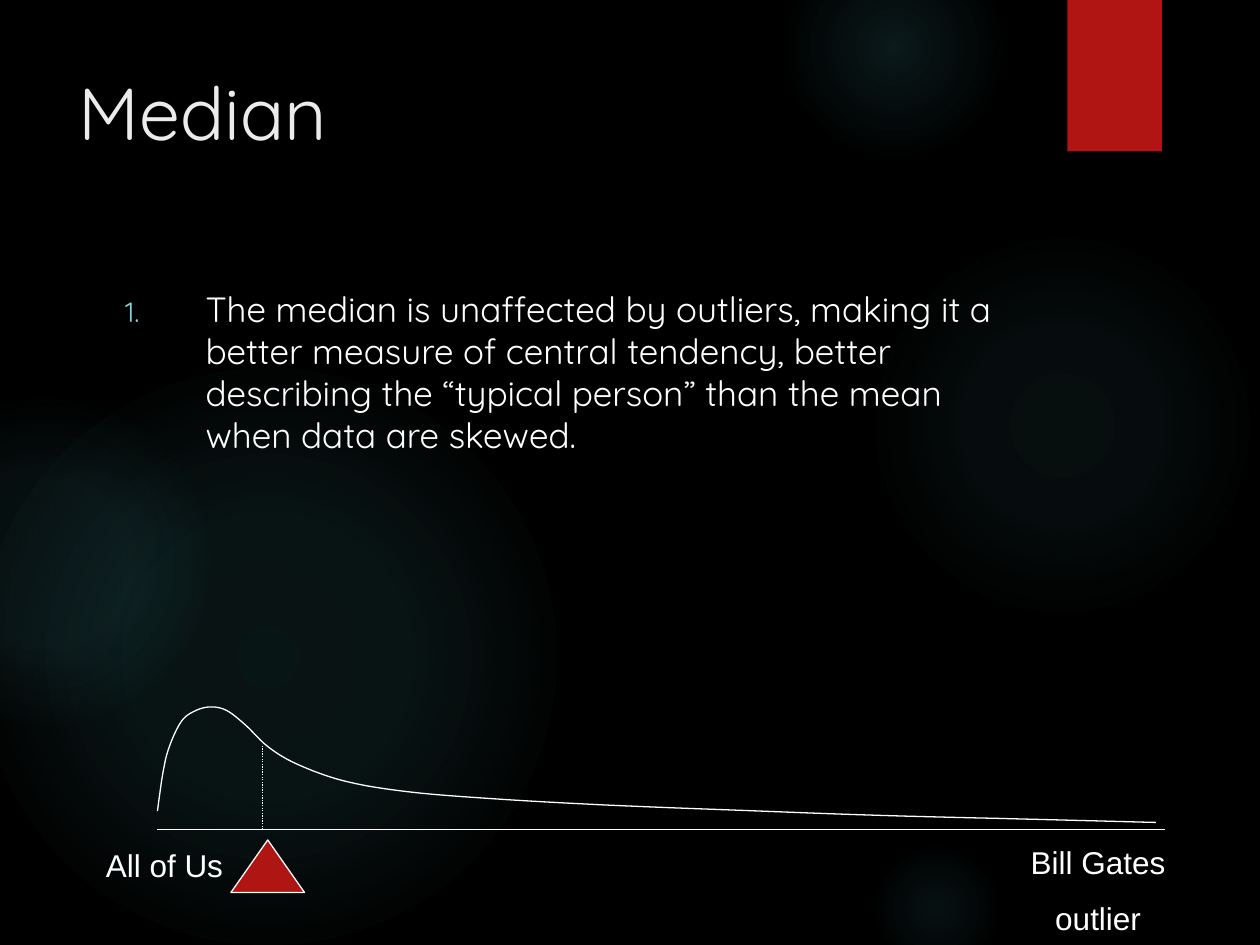
from lxml import etree
from pptx import Presentation
from pptx.dml.color import RGBColor as RGB
from pptx.enum.dml import MSO_LINE as Dash
from pptx.enum.shapes import MSO_CONNECTOR as Link, MSO_SHAPE as Shape
from pptx.enum.text import MSO_ANCHOR as Anchor, PP_ALIGN as Align
from pptx.oxml import parse_xml
from pptx.oxml.ns import nsdecls, qn
from pptx.util import Pt

THEME = {
    "back": "000000", "glow": "50B9C1", "flag": "B01513", "mark": "AF1512",
    "line": "FFFFFF", "title": "EBEBEB", "num": "89D0D5", "text": "FFFFFF",
    "head": "Quicksand", "label": "Arial",
    "big": 42, "body": 20, "small": 16, "note": 18, "rule": 0.75,
}

# left, top, size, then (position %, opacity %) from the centre out
GLOWS = [
    (496, 132, 222, [(0, 7), (36, 6), (69, 0)]),
    (448, -36, 126, [(0, 14), (36, 7), (73, 0)]),
    (496, 480, 78, [(0, 9), (36, 5), (66, 0)]),
    (-12, 210, 330, [(0, 11), (36, 10), (75, 0)]),
    (-66, 228, 186, [(0, 8), (36, 8), (72, 0)]),
]
FLAG = (610, 0, 54, 86.5)
MARK = (132, 480, 42, 30)
DROP = (150, 474, 150, 426)
AXIS = [(90, 474), (666, 474)]
KNOTS = [
    (90, 463.5), (93, 442.5), (96.5, 427.5), (103.5, 412.5), (111, 406.5),
    (120, 404), (129.5, 406), (140.5, 414.5), (153.5, 427), (170.5, 437),
    (197.5, 446.5), (233.5, 452.5), (282.5, 456.5), (345.5, 460),
    (421, 463), (504, 466), (583, 468), (660.5, 470),
]
STEPS = 6
INDENT = 46

# Each text: box, top inset, align, paragraphs of (text, font, size, colour)
TITLE = [[("Median", "head", "big", "title")]]
POINT = [[
    ("1.\t", "head", "small", "num"),
    ("The median is unaffected by outliers, making it a better measure of "
     "central tendency, better describing the “typical person” than the mean "
     "when data are skewed.", "head", "body", "text"),
]]
CROWD = [[("All of Us", "label", "note", "text")]]
RICH = [[("Bill Gates", "label", "note", "text")],
        [("outlier", "label", "note", "text")]]
TEXTS = [
    ((45, 37.5, 159, 52.5), 1, Align.LEFT, TITLE),
    ((71.5, 163.5, 515, 98), 1, Align.LEFT, POINT),
    ((60.5, 482.5, 69, 24), 1, Align.LEFT, CROWD),
    ((588, 470, 79, 67), 11.5, Align.CENTER, RICH),
]


def hue(name):
    return RGB.from_string(THEME[name])


def pts(*vals):
    return [Pt(v) for v in vals]


def stroke(shape):
    shape.line.color.rgb = hue("line")
    shape.line.width = Pt(THEME["rule"])


def solid(slide, kind, box, color):
    shape = slide.shapes.add_shape(kind, *pts(*box))
    shape.shadow.inherit = False
    shape.fill.solid()
    shape.fill.fore_color.rgb = hue(color)
    shape.line.fill.background()
    return shape


def glow(slide, left, top, size, stops):
    """Add a disc that fades out from its centre."""
    disc = solid(slide, Shape.OVAL, (left, top, size, size), "glow")
    marks = "".join(
        f'<a:gs pos="{pos * 1000}"><a:srgbClr val="{THEME["glow"]}">'
        f'<a:alpha val="{alpha * 1000}"/></a:srgbClr></a:gs>'
        for pos, alpha in stops)
    grad = parse_xml(
        f'<a:gradFill {nsdecls("a")} rotWithShape="1"><a:gsLst>{marks}</a:gsLst>'
        '<a:path path="circle"><a:fillToRect l="50000" t="50000" '
        'r="50000" b="50000"/></a:path></a:gradFill>')
    props = disc.element.spPr
    props.replace(props.find(qn("a:solidFill")), grad)


def smooth(knots):
    """Sample a Catmull-Rom spline through the knots."""
    ends = [knots[0], *knots, knots[-1]]
    out = [knots[0]]
    for a, b, c, d in zip(ends, ends[1:], ends[2:], ends[3:]):
        for step in range(1, STEPS + 1):
            t = step / STEPS
            out.append(tuple(
                q + t / 2 * (r - p + t * (2 * p - 5 * q + 4 * r - s
                                          + t * (3 * (q - r) + s - p)))
                for p, q, r, s in zip(a, b, c, d)))
    return out


def curve(slide):
    first, *rest = [pts(*spot) for spot in smooth(KNOTS)]
    start, end = [pts(*spot) for spot in AXIS]
    pen = slide.shapes.build_freeform(*first, scale=1.0)
    pen.add_line_segments(rest, close=False)
    pen.move_to(*start)
    pen.add_line_segments([end], close=False)
    shape = pen.convert_to_shape()
    shape.shadow.inherit = False
    shape.fill.background()
    stroke(shape)


def drop(slide):
    line = slide.shapes.add_connector(Link.STRAIGHT, *pts(*DROP))
    stroke(line)
    line.line.dash_style = Dash.ROUND_DOT
    etree.SubElement(line.element.spPr, qn("a:effectLst"))


def hang(para):
    """Set a hanging indent with a tab stop at the text edge."""
    props = para._p.get_or_add_pPr()
    props.set("marL", str(Pt(INDENT)))
    props.set("indent", str(-Pt(INDENT)))
    tabs = etree.SubElement(props, qn("a:tabLst"))
    etree.SubElement(tabs, qn("a:tab"), pos=str(Pt(INDENT)), algn="l")


def write(slide, box, inset, align, paras):
    frame = slide.shapes.add_textbox(*pts(*box)).text_frame
    frame.word_wrap = True
    frame.vertical_anchor = Anchor.TOP
    frame.margin_left = frame.margin_right = frame.margin_bottom = 0
    frame.margin_top = Pt(inset)
    for i, runs in enumerate(paras):
        para = frame.add_paragraph() if i else frame.paragraphs[0]
        para.alignment = align
        if i:
            para.space_before = Pt(10.8)
        if paras is POINT:
            hang(para)
        for text, face, size, color in runs:
            run = para.add_run()
            run.text = text
            run.font.name = THEME[face]
            run.font.size = Pt(THEME[size])
            run.font.color.rgb = hue(color)


def main():
    deck = Presentation()
    deck.slide_width, deck.slide_height = pts(720, 540)
    slide = deck.slides.add_slide(deck.slide_layouts[6])
    slide.background.fill.solid()
    slide.background.fill.fore_color.rgb = hue("back")
    for spot in GLOWS:
        glow(slide, *spot)
    solid(slide, Shape.RECTANGLE, FLAG, "flag")
    curve(slide)
    stroke(solid(slide, Shape.ISOSCELES_TRIANGLE, MARK, "mark"))
    drop(slide)
    for item in TEXTS:
        write(slide, *item)
    deck.save("out.pptx")


if __name__ == "__main__":
    main()
